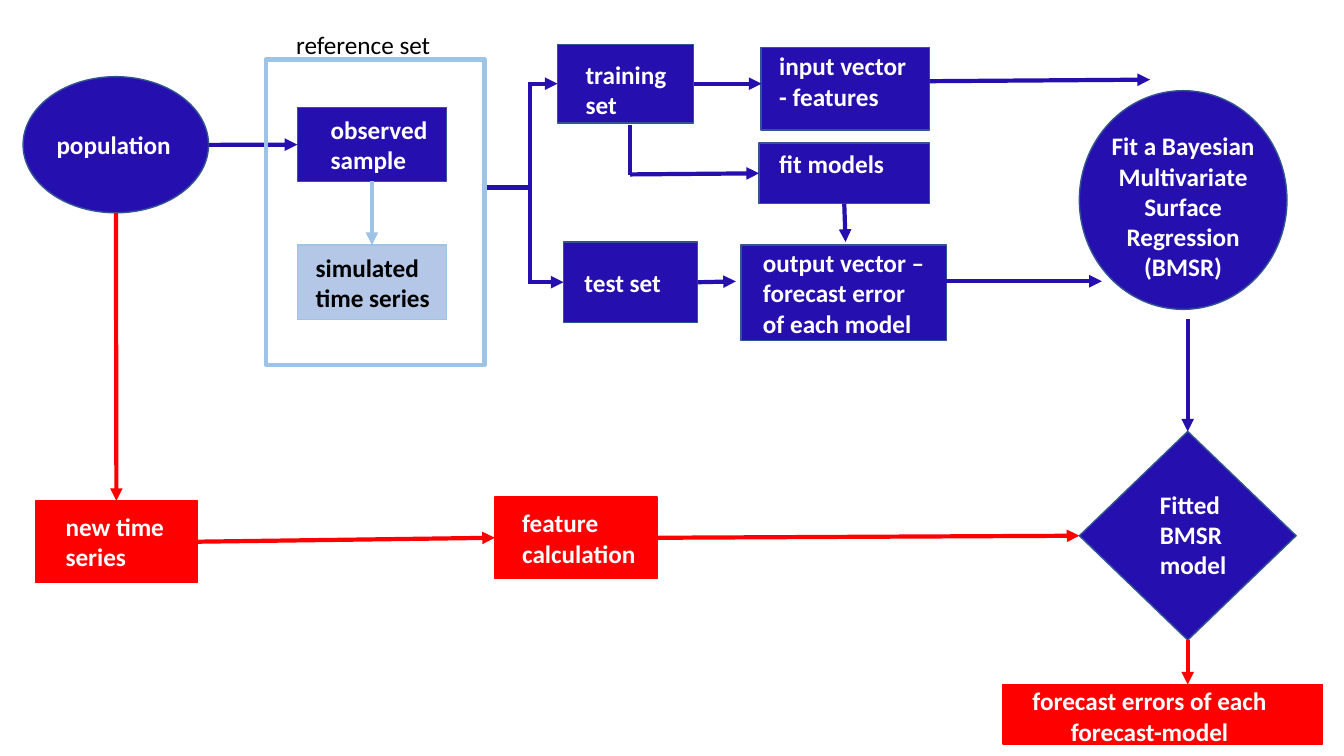
from dataclasses import dataclass
from lxml import etree
from pptx import Presentation
from pptx.dml.color import RGBColor
from pptx.enum import shapes, text
from pptx.oxml.ns import qn
from pptx.util import Pt


@dataclass(frozen=True)
class Theme:
    navy: str = "260FAF"
    navy_edge: str = "325491"
    red: str = "FF0000"
    pale: str = "B4C7E7"
    sky: str = "9DC3E6"
    white: str = "FFFFFF"
    black: str = "000000"
    font: str = "Calibri"
    size: float = 18
    edge: float = 1
    stroke: float = 3


theme = Theme()
RECT = shapes.MSO_SHAPE.RECTANGLE
OVAL = shapes.MSO_SHAPE.OVAL
DIAMOND = shapes.MSO_SHAPE.FLOWCHART_DECISION
LEFT, CENTER = text.PP_ALIGN.LEFT, text.PP_ALIGN.CENTER
TOP_SITE, LEFT_SITE, BOTTOM_SITE, RIGHT_SITE = range(4)

styles = {
    "model": (theme.navy, theme.navy_edge, theme.white),
    "forecast": (theme.red, theme.red, theme.white),
    "simulated": (theme.pale, theme.sky, theme.black),
}

# name: wording, form, style, (left, top, width, height), (inset left, top, right, bottom), align
steps = {
    "population": ("population", OVAL, "model", (16.5, 54.8, 132.5, 97.2), (0, 0, 3, 0), CENTER),
    "observed": ("observed sample", RECT, "model", (212.4, 77, 106.6, 52.6), (23.8, 0, 0, 0), LEFT),
    "simulated": ("simulated time series", RECT, "simulated", (212.4, 175, 106.6, 53.3), (13, 0, 0, 0), LEFT),
    "training": ("training set", RECT, "model", (398.2, 31.7, 97.2, 56.2), (20, 8, 0, 0), LEFT),
    "test": ("test set", RECT, "model", (402.5, 172.8, 95.8, 57.6), (15, 0, 0, 0), LEFT),
    "input": ("input vector - features", RECT, "model", (543.6, 33.8, 120.2, 59), (13, 0, 12, 11), LEFT),
    "models": ("fit models", RECT, "model", (542.2, 102.2, 121.7, 43.2), (14.4, 0, 0, 14), LEFT),
    "output": ("output vector –\nforecast error of each model", RECT, "model",
               (529.2, 175, 146.9, 68.4), (15.8, 0, 13.5, 0), LEFT),
    "regression": ("Fit a Bayesian Multivariate Surface Regression\n(BMSR)", OVAL, "model",
                   (771, 64.8, 148.3, 156.2), (0, 9, 0, 0), CENTER),
    "fitted": ("Fitted BMSR model", DIAMOND, "model", (771, 308.2, 154.8, 149), (18.8, 0, 0, 2), LEFT),
    "new series": ("new time series", RECT, "forecast", (25.2, 357.8, 115.9, 58.3), (21.6, 0, 20, 0), LEFT),
    "feature": ("feature calculation", RECT, "forecast", (353.5, 355, 115.9, 58.3), (19.5, 0, 0, 0), LEFT),
    "errors": ("forecast errors of each forecast-model", RECT, "forecast",
               (716.4, 488.9, 228.2, 42.5), (0, 2.5, 18.7, 0), CENTER),
}
reference_frame = (190, 42.5, 156.2, 218.2)
reference_label = ("reference set", (204.5, 17.3, 126.7, 28.8))

trunk, split_top, split_bottom = 378.7, 59.8, 201.6
bend = 450
# start, end, colour, arrowhead; an end is a point or a step with its connection site
flows = [
    ((149, 103.5), ("observed", LEFT_SITE), theme.navy, True),
    (("observed", BOTTOM_SITE), ("simulated", TOP_SITE), theme.sky, True),
    ((346, 133.9), (trunk, 133.9), theme.navy, False),
    ((trunk, split_top - 1.5), (trunk, split_bottom + 1.5), theme.navy, False),
    ((trunk, split_top), ("training", LEFT_SITE), theme.navy, True),
    ((trunk, split_bottom), ("test", LEFT_SITE), theme.navy, True),
    (("training", RIGHT_SITE), (544, 59.8), theme.navy, True),
    ((bend, 89.3), (bend, 125.3), theme.navy, False),
    ((bend, 124.6), ("models", LEFT_SITE), theme.navy, True),
    (("models", BOTTOM_SITE), (604, 172.8), theme.navy, True),
    (("test", RIGHT_SITE), (525.6, 201), theme.navy, True),
    ((663.8, 58), (821.5, 56.9), theme.navy, True),
    ((676, 200.9), (787, 200.9), theme.navy, True),
    ((848.4, 228.2), ("fitted", TOP_SITE), theme.navy, True),
    ((82.8, 152), ("new series", TOP_SITE), theme.red, True),
    (("new series", RIGHT_SITE), ("feature", LEFT_SITE), theme.red, True),
    (("feature", RIGHT_SITE), ("fitted", LEFT_SITE), theme.red, True),
    (("fitted", BOTTOM_SITE), (848.4, 488.9), theme.red, True),
]


def points(values):
    return [Pt(value) for value in values]


def write(holder, wording, color, bold, align=LEFT):
    frame = holder.text_frame
    frame.word_wrap = True
    frame.text = wording
    for paragraph in frame.paragraphs:
        paragraph.alignment = align
        for run in paragraph.runs:
            run.font.name, run.font.size, run.font.bold = theme.font, Pt(theme.size), bold
            run.font.color.rgb = RGBColor.from_string(color)
    return frame


def outline(line, color, width):
    line.color.rgb = RGBColor.from_string(color)
    line.width = Pt(width)


def add_form(form, box, fill, edge, width):
    part = slide.shapes.add_shape(form, *points(box))
    part.shadow.inherit = False
    if fill:
        part.fill.solid()
        part.fill.fore_color.rgb = RGBColor.from_string(fill)
    else:
        part.fill.background()
    outline(part.line, edge, width)
    return part


def add_step(wording, form, style, box, insets, align):
    fill, edge, ink = styles[style]
    step = add_form(form, box, fill, edge, theme.edge)
    frame = write(step, wording, ink, True, align)
    frame.vertical_anchor = text.MSO_ANCHOR.MIDDLE
    frame.margin_left, frame.margin_top, frame.margin_right, frame.margin_bottom = points(insets)
    return step


def locate(end):
    return (0, 0) if isinstance(end[0], str) else end


def add_flow(start, end, color, arrow):
    flow = slide.shapes.add_connector(shapes.MSO_CONNECTOR.STRAIGHT, *points(locate(start) + locate(end)))
    if isinstance(start[0], str):
        flow.begin_connect(placed[start[0]], start[1])
    if isinstance(end[0], str):
        flow.end_connect(placed[end[0]], end[1])
    outline(flow.line, color, theme.stroke)
    if arrow:
        etree.SubElement(flow.line._get_or_add_ln(), qn("a:tailEnd"), type="triangle")
    etree.SubElement(flow._element.spPr, qn("a:effectLst"))


deck = Presentation()
deck.slide_width, deck.slide_height = Pt(960), Pt(540)
slide = deck.slides.add_slide(deck.slide_layouts[6])

placed = {name: add_step(*step) for name, step in steps.items()}
for flow in flows:
    add_flow(*flow)
add_form(RECT, reference_frame, None, theme.sky, theme.stroke)
label, label_box = reference_label
write(slide.shapes.add_textbox(*points(label_box)), label, theme.black, False)

deck.save("out.pptx")
